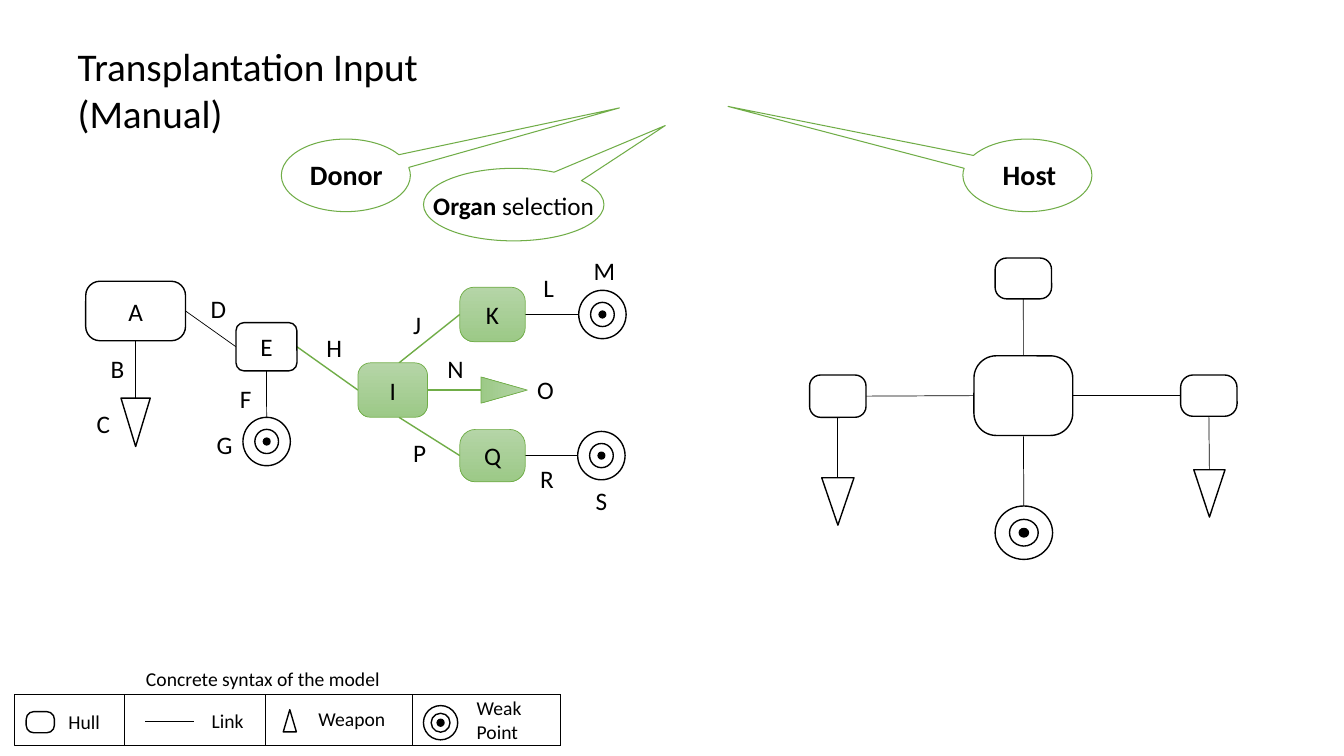
from lxml import etree
from pptx import Presentation
from pptx.dml.color import RGBColor
from pptx.enum.shapes import MSO_CONNECTOR, MSO_SHAPE
from pptx.enum.text import MSO_ANCHOR, MSO_AUTO_SIZE, PP_ALIGN
from pptx.oxml.ns import qn
from pptx.util import Inches, Pt

HULL, WEAPON = MSO_SHAPE.ROUNDED_RECTANGLE, MSO_SHAPE.ISOSCELES_TRIANGLE
ELLIPSE, RECT = MSO_SHAPE.OVAL, MSO_SHAPE.RECTANGLE
CALLOUT = MSO_SHAPE.OVAL_CALLOUT
STRAIGHT = MSO_CONNECTOR.STRAIGHT
TOP, NO_FIT = MSO_ANCHOR.TOP, MSO_AUTO_SIZE.NONE
LEFT, CENTER = PP_ALIGN.LEFT, PP_ALIGN.CENTER

FONT = "Calibri"
BLACK, WHITE, GREEN = "000000", "FFFFFF", "70AD47"
ORGAN_FILL = ("B5D5A7", "9CC987")
L, R, T, B = (0, 0.5), (1, 0.5), (0.5, 0), (0.5, 1)


def rgb(value):
    return RGBColor.from_string(value)


def grid(*cells):
    return [Inches(c / 10) for c in cells]


def within(box, x, y, w, h):
    return box[0] + x, box[1] + y, w, h


def spot(box, share):
    return box[0] + box[2] * share[0], box[1] + box[3] * share[1]


def style(tf, size, bold=False, align=LEFT):
    for p in tf.paragraphs:
        p.alignment = align
        for r in p.runs:
            r.font.name = FONT
            r.font.size = Pt(size)
            r.font.bold = bold
            r.font.color.rgb = rgb(BLACK)


def label(s, box, text, size, wrap=False, **kw):
    tf = s.shapes.add_textbox(*grid(*box)).text_frame
    tf.word_wrap = wrap
    tf.text = text
    style(tf, size, **kw)
    return tf


def shape(s, kind, box, fill=WHITE, line=BLACK, width=1, adj=(), text=""):
    sp = s.shapes.add_shape(kind, *grid(*box))
    sp.shadow.inherit = False
    for i, value in enumerate(adj):
        sp.adjustments[i] = value
    if fill is None:
        sp.fill.background()
    elif fill == ORGAN_FILL:
        sp.fill.gradient()
        sp.fill.gradient_angle = 270
        for stop, color in zip(sp.fill.gradient_stops, fill):
            stop.color.rgb = rgb(color)
    else:
        sp.fill.solid()
        sp.fill.fore_color.rgb = rgb(fill)
    sp.line.color.rgb = rgb(line)
    sp.line.width = Pt(width)
    if text:
        sp.text_frame.text = text
        style(sp.text_frame, 18, align=CENTER)
    return sp


def link(s, start, end, color=BLACK, width=0.5):
    cn = s.shapes.add_connector(STRAIGHT, *grid(*start, *end))
    cn.line.color.rgb = rgb(color)
    cn.line.width = Pt(width)
    etree.SubElement(cn._element.spPr, qn("a:effectLst"))


def weak_point(s, box, core=0.14, ring=0.5):
    cx, cy = spot(box, (0.5, 0.5))
    for share, fill in ((1, WHITE), (ring, WHITE), (core, BLACK)):
        w, h = box[2] * share, box[3] * share
        shape(s, ELLIPSE, (cx - w / 2, cy - h / 2, w, h), fill)


def title(s, box, text):
    sp = s.shapes.title
    sp.left, sp.top, sp.width, sp.height = grid(*box)
    tf = sp.text_frame
    tf.text = text
    tf.auto_size = NO_FIT
    tf.vertical_anchor = TOP
    style(tf, 28)


def callout(s, box, tip, text, offset, size, bold_part):
    shape(s, CALLOUT, box, None, GREEN, 0.75, tip)
    tf = label(s, within(box, *offset), bold_part, size, bold=True, align=CENTER)
    if text:
        r = tf.paragraphs[0].add_run()
        r.text = text
        r.font.name = FONT
        r.font.size = Pt(size)
        r.font.color.rgb = rgb(BLACK)


def donor(s, box):
    cells = {
        "A": (0, 3.1, 9.9, 5.9), "C": (3.5, 14.7, 2.9, 4.8),
        "E": (14.9, 7.2, 6.05, 4.8), "G": (15.6, 16.6, 4.7, 4.8),
        "I": (27, 11.2, 6.9, 5.4), "K": (37.1, 3.7, 6.5, 5.4),
        "M": (48.9, 4, 4.7, 4.8), "O": (39.2, 12.6, 4.6, 2.6),
        "Q": (37.1, 17.8, 6.5, 5.2), "S": (48.8, 18, 4.7, 4.8),
    }
    nodes = {name: within(box, *cell) for name, cell in cells.items()}
    for a, start, b, end in (("A", R, "E", L), ("A", B, "C", T), ("E", B, "G", T),
                             ("K", R, "M", L), ("Q", R, "S", L)):
        link(s, spot(nodes[a], start), spot(nodes[b], end))
    for a, start, b, end in (("E", R, "I", L), ("I", (0.59, 0), "K", L),
                             ("I", R, "O", L), ("I", (0.59, 1), "Q", L)):
        link(s, spot(nodes[a], start), spot(nodes[b], end), GREEN, 1)
    for name, adj in (("A", 0.24), ("E", 0.17)):
        shape(s, HULL, nodes[name], adj=(adj,), text=name)
    for name, adj in (("I", 0.23), ("K", 0.26), ("Q", 0.3)):
        shape(s, HULL, nodes[name], ORGAN_FILL, GREEN, 0.5, (adj,), name)
    shape(s, WEAPON, nodes["C"]).rotation = 180
    x, y, w, h = nodes["O"]
    turned = (x + (w - h) / 2, y + (h - w) / 2, h, w)
    shape(s, WEAPON, turned, ORGAN_FILL, GREEN, 0.5).rotation = 90
    for name in "GMS":
        weak_point(s, nodes[name])
    for name, x, y in (("B", 1.5, 9.8), ("C", 0.1, 15.2), ("D", 11.4, 3.8),
                       ("F", 14.3, 12.7), ("G", 12, 17.3), ("H", 22.9, 7.7),
                       ("J", 31.5, 5.4), ("L", 44.4, 1.7), ("M", 49.4, 0),
                       ("N", 34.9, 9.8), ("O", 43.8, 11.8), ("P", 31.5, 18.1),
                       ("R", 44.1, 20.7), ("S", 49.6, 22.9)):
        label(s, within(box, x, y, 4.3, 5.3), name, 18)


def host(s, box):
    core = within(box, 16.3, 9.7, 9.8, 7.9)
    top = within(box, 18.4, 0, 5.6, 4.05)
    left = within(box, 0, 11.6, 5.6, 4.2)
    right = within(box, 36.8, 11.6, 5.6, 4.1)
    left_weapon = within(box, 1.2, 21.8, 3.2, 4.7)
    right_weapon = within(box, 38.1, 21, 3.1, 4.7)
    target = within(box, 18.4, 24.6, 5.7, 5.3)
    for a, start, b, end in ((core, T, top, B), (core, L, left, R), (core, R, right, L),
                             (core, B, target, T), (left, B, left_weapon, T),
                             (right, B, right_weapon, T)):
        link(s, spot(a, start), spot(b, end))
    for hull, adj in ((core, 0.28), (top, 0.28), (left, 0.26), (right, 0.3)):
        shape(s, HULL, hull, adj=(adj,))
    for weapon in (left_weapon, right_weapon):
        shape(s, WEAPON, weapon).rotation = 180
    weak_point(s, target, 0.16)


def legend(s, box):
    label(s, within(box, 12.1, -3.2, 25.4, 3.4), "Concrete syntax of the model", 14)
    shape(s, RECT, box, None, width=0.75)
    for x in (10.9, 24.9, 39.5, box[2]):
        link(s, (box[0] + x, box[1]), (box[0] + x, box[1] + box[3]))
    shape(s, HULL, within(box, 1.2, 1.7, 2.8, 2.1), adj=(0.36,))
    link(s, spot(box, (0.24, 0.53)), spot(box, (0.33, 0.53)))
    shape(s, WEAPON, within(box, 26.7, 1.5, 1.3, 2.2))
    weak_point(s, within(box, 40.6, 1.1, 3.4, 3.4), 0.2, 0.55)
    for text, x, y, w, h in (("Hull", 4.4, 1, 6.6, 3.4), ("Link", 18.6, 0.9, 7.5, 3.4),
                             ("Weapon", 29.2, 0.7, 8.7, 3.4),
                             ("Weak Point", 44.9, -0.3, 8.8, 5.7)):
        label(s, within(box, x, y, w, h), text, 14, wrap=True)


def main():
    prs = Presentation()
    prs.slide_width, prs.slide_height = Inches(13.33), Inches(7.5)
    s = prs.slides.add_slide(prs.slide_layouts[5])
    title(s, (6.7, 3.7, 37.1, 10.4), "Transplantation Input\n(Manual)")
    callout(s, (27.9, 13.8, 12.8, 7.2), (2.12, -0.93), "",
            (1.8, 1.3, 9.3, 4.4), 20, "Donor")
    callout(s, (42, 16.7, 17.9, 7.2), (0.84, -1.09), " selection",
            (-1.05, 1.7, 20, 4), 18, "Organ")
    callout(s, (95.5, 13.8, 12.8, 7.2), (-2.32, -0.95), "",
            (2.9, 1.3, 7.4, 4.4), 20, "Host")
    donor(s, (8.5, 24.8, 54.6, 28.2))
    host(s, (80.3, 25.6, 42.4, 29.9))
    legend(s, (1.4, 68.9, 54.2, 5.1))
    prs.save("out.pptx")


if __name__ == "__main__":
    main()
